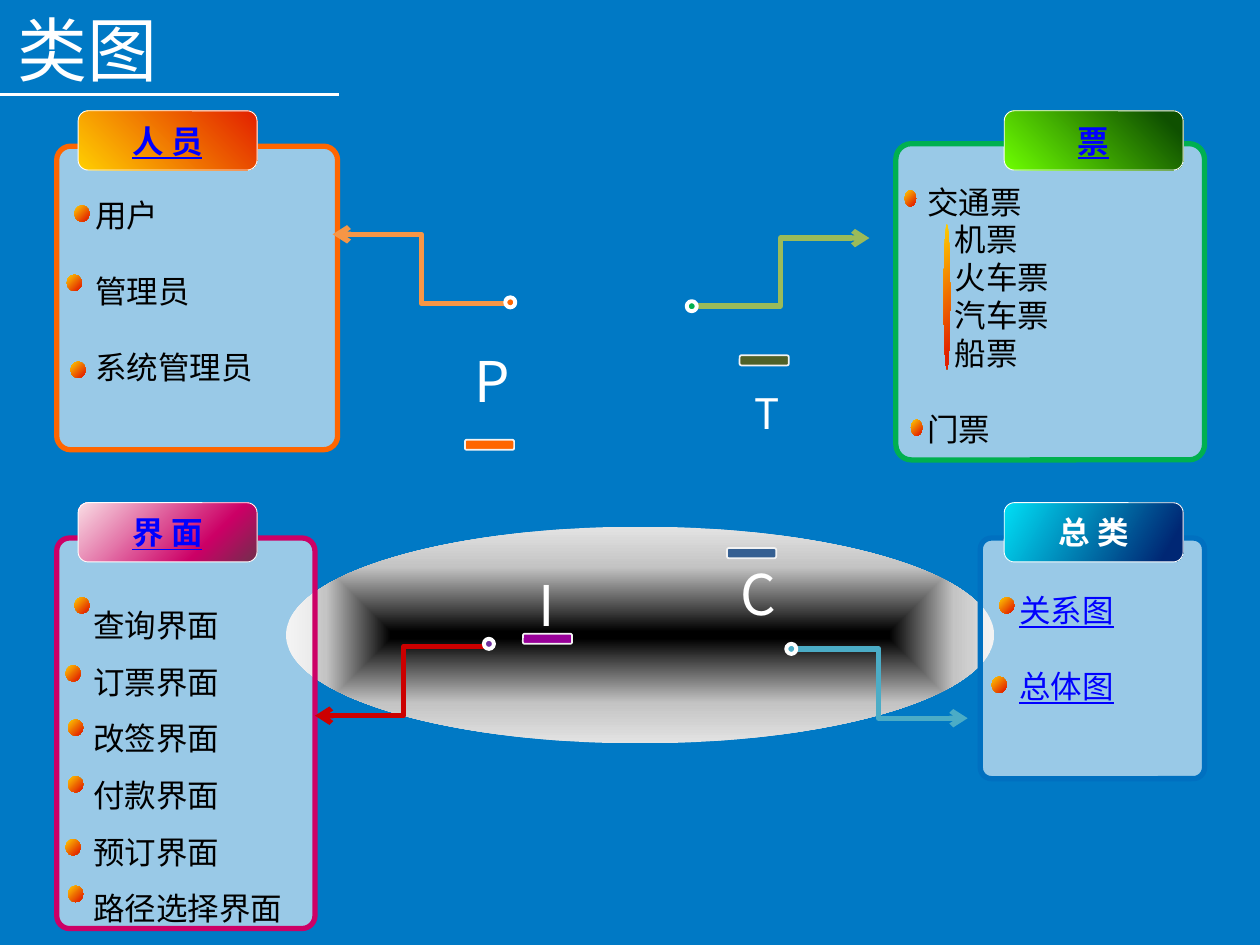
import pptx
import pptx.util
import pptx.oxml
import pptx.oxml.ns
import pptx.dml.color
import pptx.enum.shapes
import pptx.enum.text
from lxml import etree

COLORS = {
    "page": "0079C5", "white": "FFFFFF", "black": "000000", "link": "0000FF",
    "edge": "F2F2F2", "orange": "FF6600", "green": "00B050", "pink": "CC0066",
    "blue": "0070C0", "peach": "F79646", "lime": "9BBB59", "red": "CC0000",
    "aqua": "4BACC6", "violet": "7030A0", "purple": "990099",
    "olive": "4F6128", "navy": "366092",
}
GRADIENTS = {
    "fire": (315, [(0, "FFCF01"), (100, "E22000")]),
    "forest": (315, [(0, "6EFF01"), (90, "0F5000"), (100, "0F5000")]),
    "rose": (225, [(0, "712F4D"), (29, "CC0066"), (100, "F9DDE4")]),
    "ocean": (30, [(0, "00DFF6"), (90, "002774"), (100, "002774")]),
    "bead": (45, [(0, "FFCF01"), (90, "E22000"), (100, "E22000")]),
    "glow": (None, [(0, "000000"), (3, "000000"), (63, "C4C4C4"), (100, "E3E3E3")]),
}
LATIN, LETTER, CHINESE = "Arial", "Noto Sans CJK JP", "Noto Sans CJK SC"
COLUMNS, ROWS = 100, 75
GAP, SUB_INDENT = 21.7, 0.22
TITLE = "类图"

CARDS = [
    {"title": "人 员", "tab": (6.2, 8.8), "gradient": "fire", "title_color": "link",
     "body": (4.5, 11.6, 22.3, 24.1), "edge": "orange", "list": (6.6, 15.1, 19.7, 16.2),
     "items": [("用户", 0, 0), ("管理员", 0, GAP), ("系统管理员", 0, GAP)],
     "bead_width": 1.2, "beads": [(5.9, 16.3), (5.3, 21.8), (5.6, 28.7)]},
    {"title": "票", "tab": (79.7, 8.8), "gradient": "forest", "title_color": "link",
     "body": (71.1, 11.4, 24.5, 25.1), "edge": "green", "list": (72.6, 14, 23, 22.2),
     "items": [("交通票", 0, 0), ("机票", SUB_INDENT, 0), ("火车票", SUB_INDENT, 0),
               ("汽车票", SUB_INDENT, 0), ("船票", SUB_INDENT, 0), ("门票", 0, GAP)],
     "bead_width": 0.9, "beads": [(71.8, 15.1), (72.3, 33.3)]},
    {"title": "界 面", "tab": (6.2, 39.9), "gradient": "rose", "title_color": "link",
     "body": (4.5, 42.7, 20.5, 31), "edge": "pink", "list": (6.4, 46.1, 19.1, 27.7),
     "items": [(name, 0, 0) for name in
               ("查询界面", "订票界面", "改签界面", "付款界面", "预订界面", "路径选择界面")],
     "spacing": 1.5, "bead_width": 1.2,
     "beads": [(5.9, 47.4), (5.2, 52.8), (5.4, 57.1), (5.4, 61.6), (5.2, 66.6), (5.4, 70.3)]},
    {"title": "总 类", "tab": (79.7, 39.9), "gradient": "ocean", "title_color": "white",
     "body": (77.8, 42.7, 17.8, 19.1), "edge": "blue", "list": (79.9, 46.4, 15.6, 10.1),
     "items": [("关系图", 0, 0), ("总体图", 0, GAP)], "item_color": "link",
     "bead_width": 1.2, "beads": [(79.3, 47.4), (78.7, 53.7)]},
]
LETTERS = [
    ("I", 32, (39.1, 44.8, 8.6, 6.4), (41.5, 50.3), "purple"),
    ("P", 32, (34.8, 27, 8.6, 6.4), (36.9, 34.9), "orange"),
    ("T", 24, (56.6, 30.3, 8.6, 5), (58.7, 28.2), "olive"),
    ("C", 32, (55.9, 43.9, 8.6, 6.4), (57.7, 43.5), "navy"),
]
ARROWS = [
    ((40.5, 24.1), (26.4, 18.6), "peach", (40.5, 24), "orange"),
    ((54.9, 24.3), (69, 18.9), "lime", (54.9, 24.3), "green"),
    ((39.1, 51.3), (25, 56.8), "red", (38.8, 51.1), "violet"),
    ((62.7, 51.5), (76.8, 57), "aqua", (62.8, 51.5), "aqua"),
]

deck = pptx.Presentation()
deck.slide_width, deck.slide_height = pptx.util.Inches(10), pptx.util.Inches(7.5)
page = deck.slides.add_slide(deck.slide_layouts[6])
SHAPES = pptx.enum.shapes.MSO_SHAPE
CONNECTORS = pptx.enum.shapes.MSO_CONNECTOR
ALIGN = pptx.enum.text.PP_ALIGN
ANCHOR = pptx.enum.text.MSO_ANCHOR


def grid(*cells):
    units = (deck.slide_width / COLUMNS, deck.slide_height / ROWS)
    return [round(cell * units[index % 2]) for index, cell in enumerate(cells)]


def rgb(name):
    return pptx.dml.color.RGBColor.from_string(COLORS[name])


def set_all(target, values):
    for name, value in values.items():
        setattr(target, name, value)


def fill_gradient(shape, name):
    angle, stops = GRADIENTS[name]
    stop_xml = "".join(f'<a:gs pos="{at * 1000}"><a:srgbClr val="{color}"/></a:gs>'
                       for at, color in stops)
    if angle is None:
        course = ('<a:path path="shape"><a:fillToRect l="50000" t="50000" '
                  'r="50000" b="50000"/></a:path>')
    else:
        course = f'<a:lin ang="{angle * 60000}" scaled="0"/>'
    shape.fill.background()
    properties = shape.element.spPr
    properties.replace(properties.find(pptx.oxml.ns.qn("a:noFill")), pptx.oxml.parse_xml(
        f'<a:gradFill {pptx.oxml.ns.nsdecls("a")} rotWithShape="1">'
        f'<a:gsLst>{stop_xml}</a:gsLst>{course}</a:gradFill>'))


def add_figure(kind, cells, fill, edge=None, width=0, corner=None, opacity=None):
    shape = page.shapes.add_shape(kind, *grid(*cells))
    shape.shadow.inherit = False
    if corner is not None:
        shape.adjustments[0] = corner
    if fill in GRADIENTS:
        fill_gradient(shape, fill)
    else:
        shape.fill.solid()
        shape.fill.fore_color.rgb = rgb(fill)
    if opacity is not None:
        color = shape.element.spPr.find(".//" + pptx.oxml.ns.qn("a:srgbClr"))
        etree.SubElement(color, pptx.oxml.ns.qn("a:alpha"), val=str(opacity * 1000))
    if edge:
        shape.line.color.rgb = rgb(edge)
        shape.line.width = pptx.util.Pt(width)
    else:
        shape.line.fill.background()
    return shape


def write(frame, items, size, font, color, align=ALIGN.LEFT, spacing=1.0,
          anchor=ANCHOR.TOP, **style):
    set_all(frame, {"word_wrap": True, "vertical_anchor": anchor})
    for index, (text, indent, before) in enumerate(items):
        para = frame.add_paragraph() if index else frame.paragraphs[0]
        set_all(para, {"alignment": align, "line_spacing": spacing,
                       "space_before": pptx.util.Pt(before)})
        if indent:
            para._p.get_or_add_pPr().set("marL", str(pptx.util.Inches(indent)))
        span = para.add_run()
        span.text = text
        set_all(span.font, {"size": pptx.util.Pt(size), "name": font, **style})
        span.font.color.rgb = rgb(color)
        east = CHINESE if font == LATIN else font
        etree.SubElement(span.font._element, pptx.oxml.ns.qn("a:ea"), typeface=east)


def add_text(cells, items, *look, **style):
    box = page.shapes.add_textbox(*grid(*cells))
    write(box.text_frame, items, *look, **style)


def add_line(kind, start, end, color, width, arrow=False):
    link = page.shapes.add_connector(kind, *grid(*start, *end))
    link.line.color.rgb = rgb(color)
    link.line.width = pptx.util.Pt(width)
    if arrow:
        etree.SubElement(link.line._get_or_add_ln(), pptx.oxml.ns.qn("a:tailEnd"), type="arrow")
    etree.SubElement(link.element.spPr, pptx.oxml.ns.qn("a:effectLst"))


add_figure(SHAPES.OVAL, (22.7, 41.8, 56.2, 17.2), "glow")
for letter, size, cells, bar, color in LETTERS:
    add_text(cells, [(letter, 0, 0)], size, LETTER, "white", align=ALIGN.CENTER)
    add_figure(SHAPES.ROUNDED_RECTANGLE, (*bar, 3.9, 0.8), color, "edge", 1, 0.17)

for card in CARDS:
    add_figure(SHAPES.ROUNDED_RECTANGLE, card["body"], "white", card["edge"], 3, 0.05, 60)
    tab = add_figure(SHAPES.ROUNDED_RECTANGLE, (*card["tab"], 14.2, 4.7),
                     card["gradient"], "white", 0.5, 0.17)
    write(tab.text_frame, [(card["title"], 0, 0)], 18, CHINESE, card["title_color"],
          align=ALIGN.CENTER, anchor=ANCHOR.MIDDLE, bold=True,
          underline=card["title_color"] == "link")
    item_color = card.get("item_color", "black")
    add_text(card["list"], card["items"], 18, LATIN, item_color,
             spacing=card.get("spacing", 1.0), underline=item_color == "link")
    for bead in card["beads"]:
        add_figure(SHAPES.OVAL, (*bead, card["bead_width"], 1.3), "bead")
add_figure(SHAPES.OVAL, (74.9, 17.8, 0.5, 11.5), "bead")

for start, end, color, (column, row), dot_color in ARROWS:
    add_line(CONNECTORS.ELBOW, start, end, color, 3, arrow=True)
    add_figure(SHAPES.OVAL, (column - 0.4, row - 0.4, 0.8, 0.8), dot_color, "white", 2.25)

add_line(CONNECTORS.STRAIGHT, (0, 7.5), (26.9, 7.5), "white", 2.25)
add_text((0.4, 0, 30.4, 7.7), [(TITLE, 0, 0)], 40, CHINESE, "white")
page.background.fill.solid()
page.background.fill.fore_color.rgb = rgb("page")
deck.save("out.pptx")
